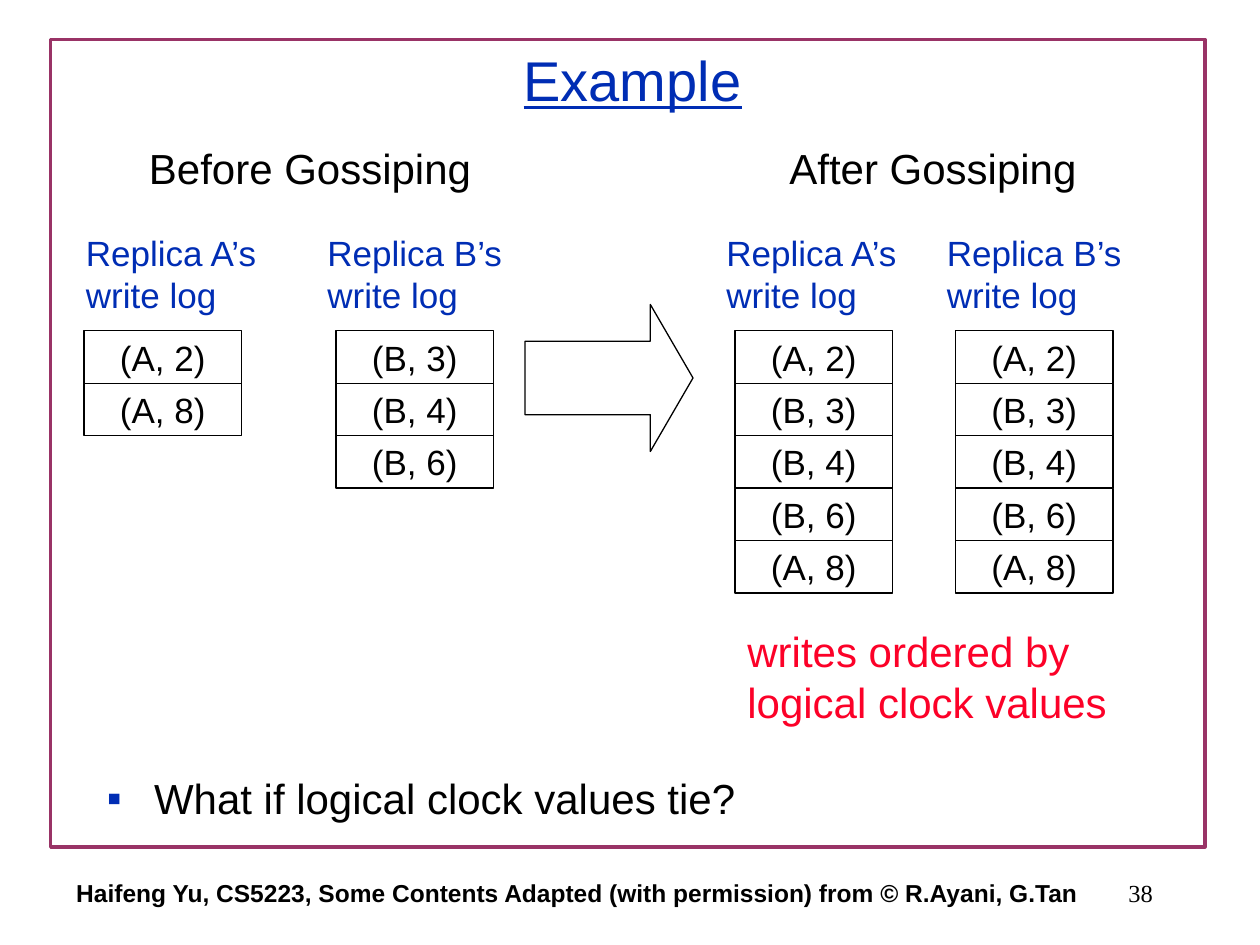
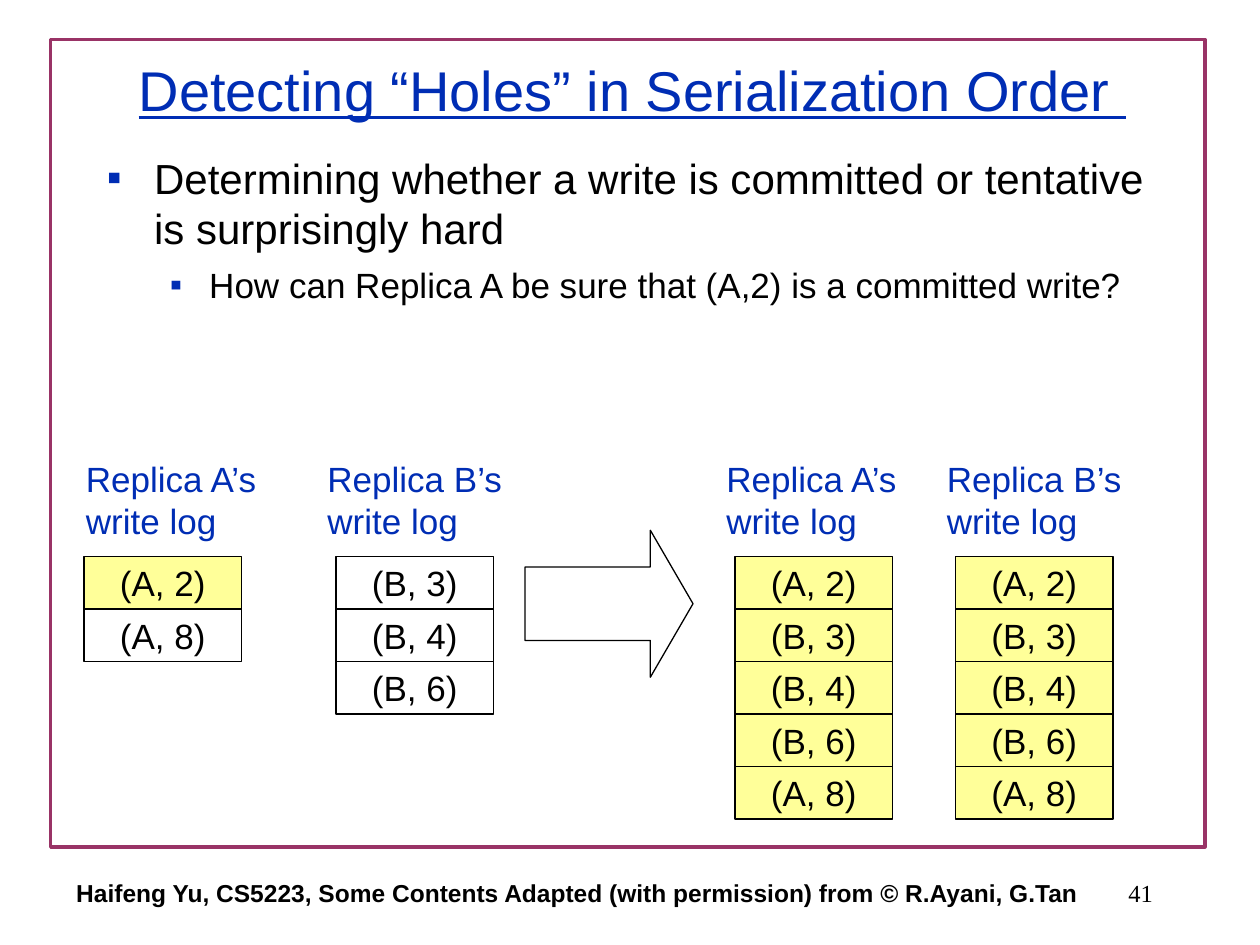
from lxml.etree import SubElement
from pptx import Presentation
from pptx.dml.color import RGBColor
from pptx.enum.shapes import MSO_SHAPE
from pptx.enum.text import MSO_ANCHOR, MSO_AUTO_SIZE, PP_ALIGN
from pptx.oxml.ns import qn
from pptx.util import Pt

BLACK = RGBColor(0x00, 0x00, 0x00)
BLUE = RGBColor(0x00, 0x2D, 0xB4)
RED = RGBColor(0xFC, 0x01, 0x28)
PLUM = RGBColor(0x99, 0x33, 0x66)
YELLOW = RGBColor(0xFF, 0xFF, 0x99)

SANS, SERIF = "Arial", "Times New Roman"
FOOTER = "Haifeng Yu, CS5223, Some Contents Adapted (with permission) from © R.Ayani, G.Tan"
CELL_WIDTH, CELL_HEIGHT = 90, 30
BULLET_INDENTS = [(27, 27), (58.5, 22.5)]
BULLET_SIZES = [24, 20]

MERGED_LOG = ["(A, 2)", "(B, 3)", "(B, 4)", "(B, 6)", "(A, 8)"]
LOGS = [
    ("A", 0, 6, ["(A, 2)", "(A, 8)"]),
    ("B", 144, 12, ["(B, 3)", "(B, 4)", "(B, 6)"]),
    ("A", 372, 12, MERGED_LOG),
    ("B", 498, 12, MERGED_LOG),
]


def style(para, size, color=BLACK, font=SANS, align=PP_ALIGN.LEFT):
    """Set the font and alignment of a whole paragraph."""
    para.font.name = font
    para.font.size = Pt(size)
    para.font.color.rgb = color
    para.alignment = align


def add_text(page, text, box, size, color=BLACK, font=SANS,
             align=PP_ALIGN.LEFT, anchor=MSO_ANCHOR.TOP, wrap=True):
    """Add a one-paragraph text box and return its paragraph."""
    frame = page.shapes.add_textbox(*map(Pt, box)).text_frame
    frame.word_wrap = wrap
    frame.vertical_anchor = anchor
    para = frame.paragraphs[0]
    para.text = text
    style(para, size, color, font, align)
    return para


def add_outline(page, preset, box, color=BLACK, width=0.75, fill=None):
    """Add an outlined preset shape, hollow unless a fill is given."""
    shape = page.shapes.add_shape(preset, *map(Pt, box))
    shape.shadow.inherit = False
    shape.line.color.rgb = color
    shape.line.width = Pt(width)
    if fill is None:
        shape.fill.background()
    else:
        shape.fill.solid()
        shape.fill.fore_color.rgb = fill
    return shape


def add_page(deck, title, title_top, number):
    """Start a framed slide with its title, footer and page number."""
    page = deck.slides.add_slide(deck.slide_layouts[5])
    add_outline(page, MSO_SHAPE.RECTANGLE, (29, 22.5, 659.5, 461.5), PLUM, 2)
    heading = page.shapes.title
    heading.left, heading.top, heading.width, heading.height = map(
        Pt, (55.5, title_top, 612, 66))
    frame = heading.text_frame
    frame.text = title
    frame.auto_size = MSO_AUTO_SIZE.NONE
    frame.vertical_anchor = MSO_ANCHOR.MIDDLE
    style(frame.paragraphs[0], 32, BLUE, align=PP_ALIGN.CENTER)
    frame.paragraphs[0].font.underline = True
    add_text(page, number, (516, 492, 150, 36), 14, font=SERIF,
             align=PP_ALIGN.RIGHT, anchor=MSO_ANCHOR.MIDDLE, wrap=False)
    credit = add_text(page, FOOTER, (24, 492, 612, 36), 14,
                      align=PP_ALIGN.CENTER, anchor=MSO_ANCHOR.MIDDLE, wrap=False)
    credit.font.bold = True
    return page


def add_bullets(page, box, items):
    """Add a bulleted text box from (level, text) pairs."""
    frame = page.shapes.add_textbox(*map(Pt, box)).text_frame
    frame.word_wrap = True
    for index, (level, text) in enumerate(items):
        para = frame.add_paragraph() if index else frame.paragraphs[0]
        para.text = text
        para.level = level
        size = BULLET_SIZES[level]
        style(para, size)
        para.space_before = Pt(0.3 * size)
        margin, hanging = BULLET_INDENTS[level]
        props = para._p.get_or_add_pPr()
        props.set("marL", str(Pt(margin)))
        props.set("indent", str(-Pt(hanging)))
        SubElement(SubElement(props, qn("a:buClr")), qn("a:srgbClr"), val=str(BLUE))
        SubElement(props, qn("a:buFont"), typeface=SANS)
        SubElement(props, qn("a:buChar"), char="▪")
        props.append(props.find(qn("a:defRPr")))


def add_log(page, left, top, replica, label_shift, writes, committed):
    """Draw one replica's write log, with the first writes marked committed."""
    add_text(page, f"Replica {replica}’s write log",
             (left - label_shift, top - 60, 120, 55.5), 20, BLUE)
    for row, write in enumerate(writes):
        cell = add_outline(
            page, MSO_SHAPE.RECTANGLE,
            (left, top + row * CELL_HEIGHT, CELL_WIDTH, CELL_HEIGHT),
            fill=YELLOW if row < committed else None)
        frame = cell.text_frame
        frame.text = write
        frame.word_wrap = False
        frame.vertical_anchor = MSO_ANCHOR.MIDDLE
        style(frame.paragraphs[0], 20, align=PP_ALIGN.CENTER)


def add_gossip(page, left, top, committed_counts):
    """Draw the logs before and after gossiping, with the arrow between."""
    for (replica, shift, label_shift, writes), committed in zip(LOGS, committed_counts):
        add_log(page, left + shift, top, replica, label_shift, writes, committed)
    arrow = add_outline(page, MSO_SHAPE.RIGHT_ARROW, (left + 252, top - 15, 96, 84))
    arrow.adjustments[0] = 0.5
    arrow.adjustments[1] = 0.29


def build_example(deck):
    """Build the slide that shows gossiping on an example."""
    page = add_page(deck, "Example", 12, "38")
    add_bullets(page, (54, 438, 612, 37.5), [(0, "What if logical clock values tie?")])
    add_gossip(page, 48, 189, (0, 0, 0, 0))
    add_text(page, "Before Gossiping", (78, 78, 198.5, 36), 24, wrap=False)
    add_text(page, "After Gossiping", (444, 78, 178.5, 36), 24, wrap=False)
    add_text(page, "writes ordered by logical clock values", (420, 354, 241, 65), 24, RED)


def build_holes(deck):
    """Build the slide on telling committed writes from tentative ones."""
    page = add_page(deck, "Detecting “Holes” in Serialization Order ", 18, "41")
    add_bullets(page, (54, 83.5, 612, 108.5), [
        (0, "Determining whether a write is committed or tentative is surprisingly hard"),
        (1, "How can Replica A be sure that (A,2) is a committed write?"),
    ])
    add_gossip(page, 48, 318, (1, 0, 5, 5))


def main():
    """Build and save the deck."""
    deck = Presentation()
    deck.slide_width, deck.slide_height = Pt(720), Pt(540)
    build_example(deck)
    build_holes(deck)
    deck.save("out.pptx")


if __name__ == "__main__":
    main()
